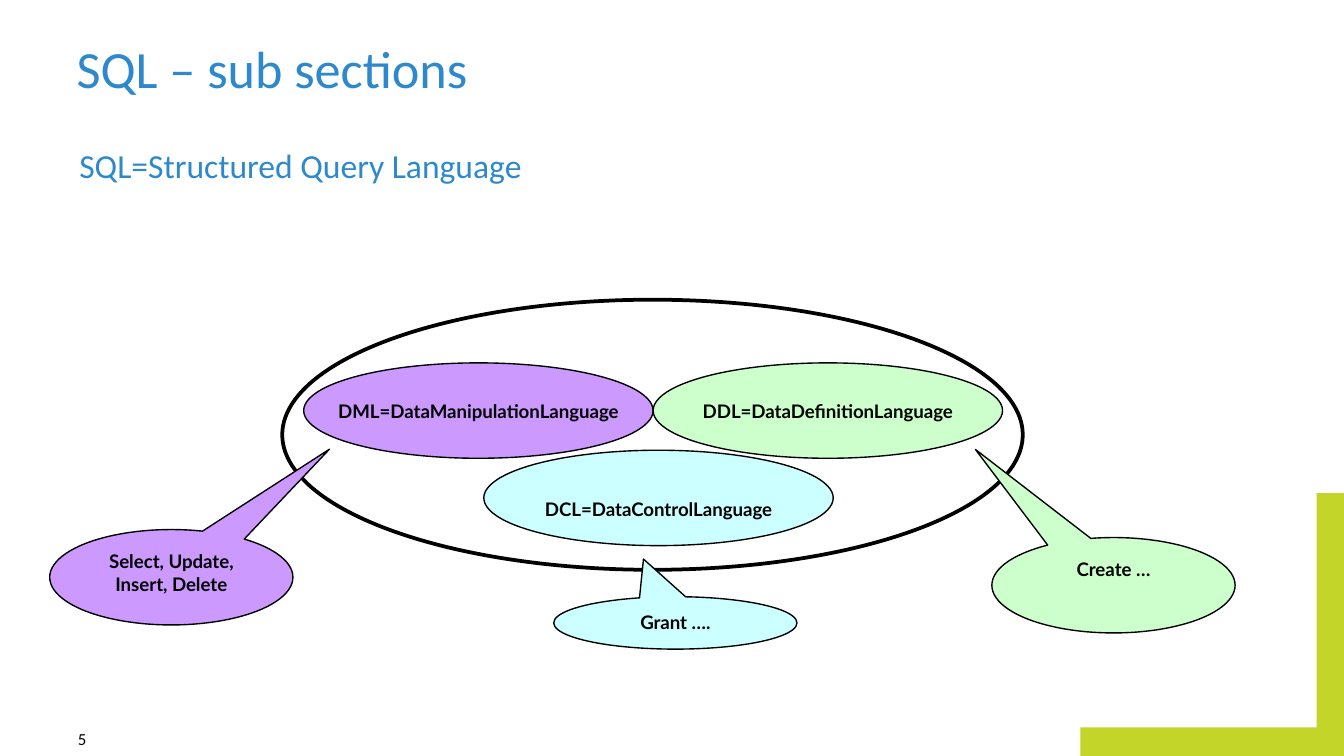
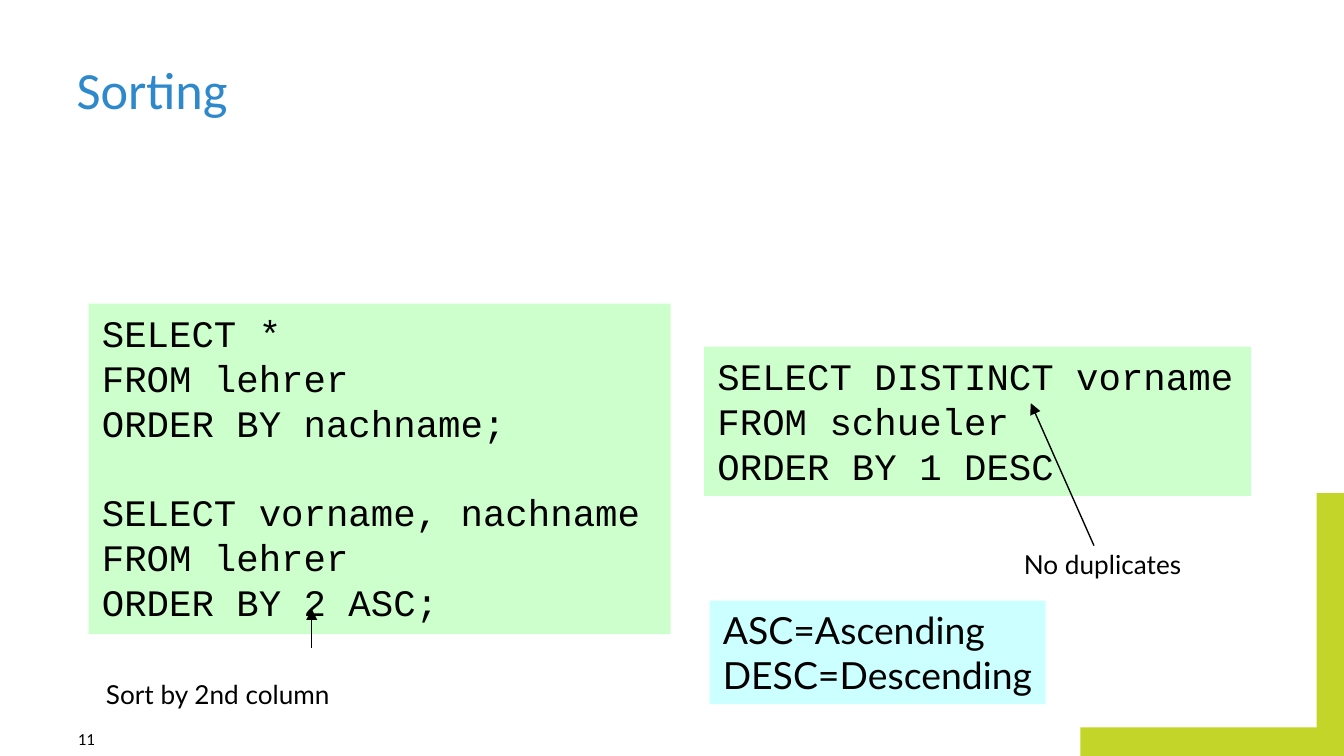
from lxml.etree import SubElement
from pptx import Presentation
from pptx.dml.color import RGBColor
from pptx.enum.shapes import MSO_CONNECTOR, MSO_SHAPE
from pptx.enum.text import MSO_ANCHOR, MSO_AUTO_SIZE, PP_ALIGN
from pptx.oxml.ns import qn
from pptx.util import Pt

PX = 9144  # 100 px to the inch
COLORS = {
    "title": "2D89CC",
    "corner": "C4D52A",
    "black": "000000",
    "purple": "CC99FF",
    "green": "CCFFCC",
    "cyan": "CCFFFF",
}
FLUSH = {"margin_left": 0, "margin_top": 0, "margin_right": 0, "margin_bottom": 0}
GROW = {"auto_size": MSO_AUTO_SIZE.SHAPE_TO_FIT_TEXT}
TIGHT = {"word_wrap": False, **GROW}
TITLE = {"font": "Calibri", "size": 28, "color": "title"}
SUBTITLE = {**TITLE, "size": 18}
NUMBER = {"font": "Calibri", "size": 9}
LABEL = {"size": 10, "bold": True, "align": PP_ALIGN.CENTER}
CODE = {"font": "Courier New", "size": 20}


def add_shape(slide, kind, box, fill=None, line=None):
    """Add a preset shape, or a text box when kind is None."""
    box = [v * PX for v in box]
    if kind is None:
        return slide.shapes.add_textbox(*box)
    sp = slide.shapes.add_shape(kind, *box)
    sp.shadow.inherit = False
    if fill:
        sp.fill.solid()
        sp.fill.fore_color.rgb = RGBColor.from_string(COLORS[fill])
    else:
        sp.fill.background()
    if line:
        sp.line.color.rgb = RGBColor.from_string(COLORS["black"])
        sp.line.width = Pt(line)
    else:
        sp.line.fill.background()
    return sp


def write(sp, text, frame=None, font="Lato", size=14, color="black", bold=False,
          align=PP_ALIGN.LEFT, spacing=None):
    """Write one paragraph per line; frame holds text frame settings."""
    tf = sp.text_frame
    settings = {"word_wrap": True, "vertical_anchor": MSO_ANCHOR.TOP, **(frame or {})}
    for name, value in settings.items():
        setattr(tf, name, value)
    for i, line in enumerate(text.split("\n")):
        p = tf.add_paragraph() if i else tf.paragraphs[0]
        p.alignment = align
        p.line_spacing = spacing
        r = p.add_run()
        r.text = line
        for name, value in {"name": font, "size": Pt(size), "bold": bold}.items():
            setattr(r.font, name, value)
        r.font.color.rgb = RGBColor.from_string(COLORS[color])


prs = Presentation()
prs.slide_width = 1000 * PX
prs.slide_height = prs.slide_width * 9 // 16

# Shared title, corner and slide number
for title, top, number in [("SQL – sub sections", 6, "5"), ("Sorting", 21, "11")]:
    s = prs.slides.add_slide(prs.slide_layouts[5])
    corner = add_shape(s, MSO_SHAPE.CORNER, (804, 367, 197, 197), "corner")
    corner.adjustments[0], corner.adjustments[1] = 0.115, 0.108
    corner._element.spPr.find(qn("a:xfrm")).set("flipH", "1")

    sp = s.shapes.title
    sp.left, sp.top, sp.width, sp.height = [v * PX for v in (57, top, 900, 68)]
    bottom = {**FLUSH, "vertical_anchor": MSO_ANCHOR.BOTTOM}
    write(sp, title, {**bottom, "auto_size": MSO_AUTO_SIZE.NONE}, spacing=Pt(28), **TITLE)
    write(add_shape(s, None, (58, 542, 24, 15)), number, {**bottom, **GROW}, **NUMBER)

sections, sorting = prs.slides

# Slide 1: the parts of SQL
sp = add_shape(sections, None, (59, 108, 898, 415))
write(sp, "SQL=Structured Query Language", FLUSH, **SUBTITLE)

languages = [
    ("DML=DataManipulationLanguage", 226, 270, "purple", 5),
    ("DDL=DataDefinitionLanguage", 486, 270, "green", 5),
    ("DCL=DataControlLanguage", 360, 335, "cyan", 22),
]
for text, left, top, fill, inset in languages:
    sp = add_shape(sections, MSO_SHAPE.OVAL, (left, top, 260, 71), fill, 0.75)
    frame = {"word_wrap": False, "vertical_anchor": MSO_ANCHOR.MIDDLE,
             "margin_top": inset * PX}
    write(sp, text, frame, **LABEL)

add_shape(sections, MSO_SHAPE.OVAL, (210, 223, 551, 201), line=2)

commands = [
    ("Grant ….", 412, 444, 39, "cyan", (-0.131, -1.219)),
    ("Create …", 738, 400, 71, "green", (-0.568, -1.425)),
    ("Select, Update, Insert, Delete", 37, 394, 71, "purple", (0.65, -1.342)),
]
for text, left, top, height, fill, tip in commands:
    sp = add_shape(sections, MSO_SHAPE.OVAL_CALLOUT, (left, top, 181, height), fill, 0.75)
    sp.adjustments[0], sp.adjustments[1] = tip
    write(sp, text, **LABEL)

# Slide 2: queries with notes
queries = add_shape(sorting, MSO_SHAPE.RECTANGLE, (66, 226, 433, 246), "green")
write(queries, "SELECT *\nFROM lehrer\nORDER BY nachname;\n"
      "SELECT vorname, nachname\nFROM lehrer\nORDER BY 2 ASC;", GROW, **CODE)
queries.text_frame.paragraphs[3].space_before = Pt(24)

distinct = add_shape(sorting, MSO_SHAPE.RECTANGLE, (524, 258, 407, 111), "green")
write(distinct, "SELECT DISTINCT vorname\nFROM schueler\nORDER BY 1 DESC", TIGHT, **CODE)

legend = add_shape(sorting, MSO_SHAPE.RECTANGLE, (528, 447, 250, 77), "cyan")
write(legend, "ASC=Ascending\nDESC=Descending", TIGHT, size=20)

notes = [
    ("Sort by 2nd column", (69, 500, 189, 34), (232, 482, 232, 453)),
    ("No duplicates", (752, 403, 137, 34), (814, 406, 767, 300)),
]
for text, box, ends in notes:
    write(add_shape(sorting, None, box), text, TIGHT)
    arrow = sorting.shapes.add_connector(MSO_CONNECTOR.STRAIGHT, *[v * PX for v in ends])
    arrow.line.color.rgb = RGBColor.from_string(COLORS["black"])
    arrow.line.width = Pt(0.75)
    SubElement(arrow.line._get_or_add_ln(), qn("a:tailEnd"), type="triangle")
    SubElement(arrow._element.spPr, qn("a:effectLst"))

prs.save("out.pptx")
